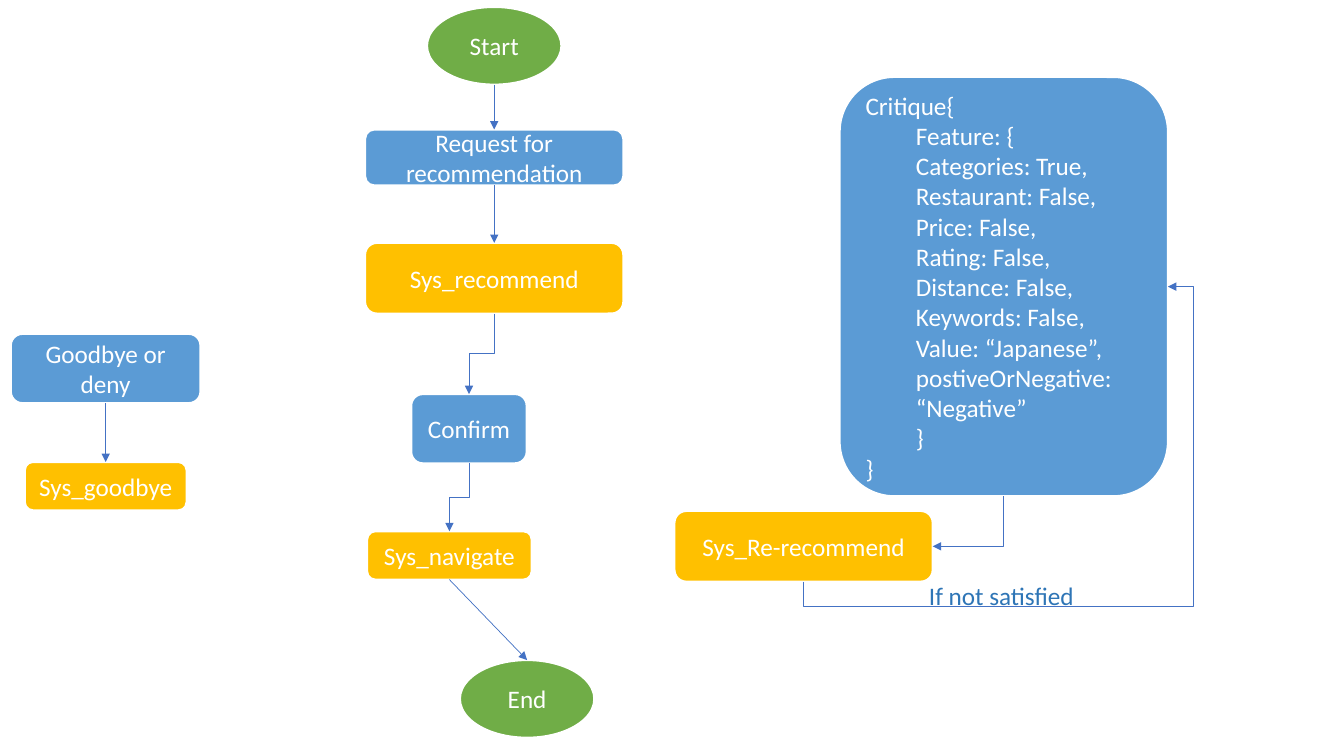
import pptx
import pptx.dml.color
import pptx.enum.shapes
import pptx.enum.text
import pptx.oxml
import pptx.oxml.ns
import pptx.util

Pt = pptx.util.Pt
RGBColor = pptx.dml.color.RGBColor
SHAPES = pptx.enum.shapes.MSO_SHAPE
CONNECTORS = pptx.enum.shapes.MSO_CONNECTOR
ALIGN = pptx.enum.text.PP_ALIGN
qn = pptx.oxml.ns.qn

GREEN = RGBColor(0x70, 0xAD, 0x47)
BLUE = RGBColor(0x5B, 0x9B, 0xD5)
AMBER = RGBColor(0xFF, 0xC0, 0x00)
WHITE = RGBColor(0xFF, 0xFF, 0xFF)
ARROW_BLUE = RGBColor(0x44, 0x72, 0xC4)
LABEL_BLUE = RGBColor(0x2E, 0x75, 0xB6)

FONT = {"name": "Calibri", "size": Pt(18)}
TOP, LEFT, BOTTOM, RIGHT = range(4)
OVAL_BOTTOM = 4
INDENT = Pt(36)
CLEARANCE = Pt(18)

# Name: text, kind, fill, centre x, top, width, height
NODES = {
    "start": ("Start", SHAPES.OVAL, GREEN, 353, 5, 96, 55.5),
    "request": ("Request for recommendation", SHAPES.ROUNDED_RECTANGLE, BLUE, 353, 92.5, 184.5, 40),
    "recommend": ("Sys_recommend", SHAPES.ROUNDED_RECTANGLE, AMBER, 353, 173.5, 184.5, 50.5),
    "confirm": ("Confirm", SHAPES.ROUNDED_RECTANGLE, BLUE, 335, 281.5, 82.5, 49.5),
    "navigate": ("Sys_navigate", SHAPES.ROUNDED_RECTANGLE, AMBER, 321, 379.5, 117.5, 34.5),
    "end": ("End", SHAPES.OVAL, GREEN, 376.5, 471.5, 96, 55.5),
    "deny": ("Goodbye or deny", SHAPES.ROUNDED_RECTANGLE, BLUE, 75.5, 238.5, 135.5, 49.5),
    "goodbye": ("Sys_goodbye", SHAPES.ROUNDED_RECTANGLE, AMBER, 75.5, 330, 115.5, 34.5),
    "critique": ("", SHAPES.ROUNDED_RECTANGLE, BLUE, 717, 55, 234.5, 299.5),
    "rerecommend": ("Sys_Re-recommend", SHAPES.ROUNDED_RECTANGLE, AMBER, 574, 365, 184.5, 50.5),
}

CRITIQUE_FIELDS = [
    "Feature: {", "Categories: True,", "Restaurant: False,", "Price: False,",
    "Rating: False,", "Distance: False,", "Keywords: False,",
    "Value: “Japanese”,", "postiveOrNegative: “Negative”", "}",
]


def write_lines(frame, lines, color, alignment):
    """Fill a text frame with (level, text) lines."""
    for index, (level, text) in enumerate(lines):
        paragraph = frame.paragraphs[0] if index == 0 else frame.add_paragraph()
        paragraph.alignment = alignment
        if level:
            paragraph.level = level
            paragraph._p.get_or_add_pPr().set("marL", str(INDENT * level))
        run = paragraph.add_run()
        run.text = text
        for name, value in FONT.items():
            setattr(run.font, name, value)
        run.font.color.rgb = color


def add_node(slide, kind, fill, center, top, width, height, lines, alignment=ALIGN.CENTER):
    shape = slide.shapes.add_shape(kind, Pt(center - width / 2), Pt(top), Pt(width), Pt(height))
    shape.shadow.inherit = False
    shape.fill.solid()
    shape.fill.fore_color.rgb = fill
    shape.line.color.rgb = WHITE
    shape.line.width = Pt(1.5)
    shape.text_frame.word_wrap = True
    shape.text_frame.vertical_anchor = pptx.enum.text.MSO_ANCHOR.MIDDLE
    write_lines(shape.text_frame, lines, WHITE, alignment)
    return shape


def add_arrow(slide, source, target, source_site=BOTTOM, target_site=TOP, kind=CONNECTORS.STRAIGHT):
    connector = slide.shapes.add_connector(kind, 0, 0, 0, 0)
    connector.begin_connect(source, source_site)
    connector.end_connect(target, target_site)
    if source.auto_shape_type == SHAPES.OVAL:
        connector._element.find(".//" + qn("a:stCxn")).set("idx", str(OVAL_BOTTOM))
    connector.line.color.rgb = ARROW_BLUE
    connector.line.width = Pt(0.5)
    tail = pptx.oxml.parse_xml('<a:tailEnd %s type="triangle"/>' % pptx.oxml.ns.nsdecls("a"))
    connector.line._get_or_add_ln().append(tail)
    effects = pptx.oxml.parse_xml("<a:effectLst %s/>" % pptx.oxml.ns.nsdecls("a"))
    connector._element.spPr.append(effects)
    return connector


def add_elbow(slide, source, target, target_site=TOP, preset="bentConnector3", around=False):
    """Add a bent arrow that leaves the source downwards, by a quarter turn."""
    connector = add_arrow(slide, source, target, BOTTOM, target_site, CONNECTORS.ELBOW)
    across = connector.end_x - connector.begin_x
    down = connector.end_y - connector.begin_y
    center_x = (connector.begin_x + connector.end_x) // 2
    center_y = (connector.begin_y + connector.end_y) // 2
    width, height = abs(down), abs(across)
    frame = {"left": center_x - width // 2, "top": center_y - height // 2,
             "width": width, "height": height}
    for name, value in frame.items():
        setattr(connector, name, value)

    properties = connector._element.spPr
    transform = properties.find(qn("a:xfrm"))
    turn = {"rot": "5400000", "flipH": str(int(down < 0)), "flipV": str(int(across > 0))}
    for name, value in turn.items():
        transform.set(name, value)

    geometry = properties.find(qn("a:prstGeom"))
    geometry.set("prst", preset)
    if around:
        bends = {"adj1": -CLEARANCE / width, "adj2": 1 + CLEARANCE / height}
        for name, ratio in bends.items():
            guide = '<a:gd %s name="%s" fmla="val %d"/>' % (
                pptx.oxml.ns.nsdecls("a"), name, round(ratio * 100000))
            geometry.find(qn("a:avLst")).append(pptx.oxml.parse_xml(guide))


def add_label(slide, text, left, top, width, height):
    box = slide.shapes.add_textbox(Pt(left), Pt(top), Pt(width), Pt(height))
    settings = {"word_wrap": True, "auto_size": pptx.enum.text.MSO_AUTO_SIZE.SHAPE_TO_FIT_TEXT}
    for name, value in settings.items():
        setattr(box.text_frame, name, value)
    write_lines(box.text_frame, [(0, text)], LABEL_BLUE, ALIGN.LEFT)


def main():
    presentation = pptx.Presentation()
    presentation.slide_width = Pt(960)
    presentation.slide_height = Pt(540)
    slide = presentation.slides.add_slide(presentation.slide_layouts[6])

    # Dialogue states
    nodes = {}
    for name, (text, *look) in NODES.items():
        lines, alignment = [(0, text)], ALIGN.CENTER
        if name == "critique":
            fields = [(1, field) for field in CRITIQUE_FIELDS]
            lines, alignment = [(0, "Critique{"), *fields, (0, "}")], ALIGN.LEFT
        nodes[name] = add_node(slide, *look, lines, alignment)

    # Straight transitions
    for source, target in [("start", "request"), ("request", "recommend"),
                           ("navigate", "end"), ("deny", "goodbye")]:
        add_arrow(slide, nodes[source], nodes[target])

    # Bent transitions
    for source, target in [("recommend", "confirm"), ("confirm", "navigate")]:
        add_elbow(slide, nodes[source], nodes[target])
    add_elbow(slide, nodes["critique"], nodes["rerecommend"], RIGHT, "bentConnector2")
    add_elbow(slide, nodes["rerecommend"], nodes["critique"], RIGHT, "bentConnector4", around=True)

    # Loop condition
    add_label(slide, "If not satisfied", 656.5, 411, 124.5, 29)

    presentation.save("out.pptx")


main()
